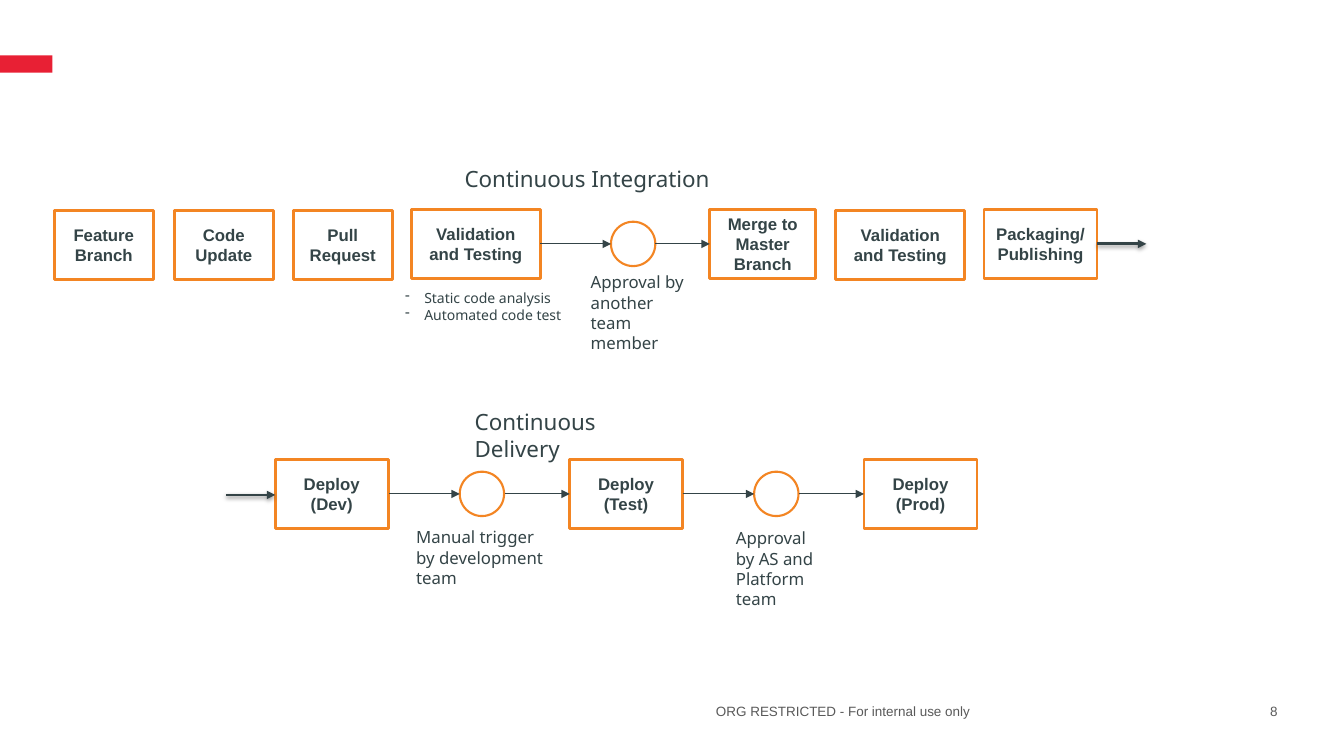
"""Build the continuous integration and delivery flow slide."""
from typing import NamedTuple

from lxml import etree
from pptx import Presentation
from pptx.dml.color import RGBColor
from pptx.enum import shapes, text
from pptx.oxml import ns
from pptx.util import Inches, Pt

RED = RGBColor(0xE8, 0x20, 0x34)
ORANGE = RGBColor(0xF3, 0x85, 0x23)
SLATE = RGBColor(0x34, 0x44, 0x47)
GREY = RGBColor(0x59, 0x59, 0x59)
WHITE = RGBColor(0xFF, 0xFF, 0xFF)

SHAPE = shapes.MSO_SHAPE
ALIGN = text.PP_ALIGN
ANCHOR = text.MSO_ANCHOR
GATE_SIZE = 0.44
STEP_HEIGHT = 0.68


class Step(NamedTuple):
    """A named stage of the pipeline."""
    left: float
    top: float
    width: float
    label: str


class Gate(NamedTuple):
    """A circle where someone approves or triggers the next stage."""
    left: float
    top: float


class Arrow(NamedTuple):
    """A horizontal arrow; a handover is thick and shadowed."""
    start: float
    end: float
    y: float
    handover: bool = False


class Note(NamedTuple):
    """Free text beside the flow."""
    left: float
    top: float
    width: float
    height: float
    words: str
    size: float = 12
    bullet: str = ""


STEPS = [
    Step(0.54, 2.09, 0.98, "Feature Branch"),
    Step(1.73, 2.09, 0.98, "Code Update"),
    Step(2.91, 2.09, 0.98, "Pull Request"),
    Step(4.08, 2.08, 1.28, "Validation and Testing"),
    Step(7.04, 2.08, 1.05, "Merge to Master Branch"),
    Step(8.29, 2.09, 1.28, "Validation and Testing"),
    Step(9.76, 2.08, 1.12, "Packaging/\nPublishing"),
] + [Step(2.73 + 2.92 * i, 4.56, 1.12, f"Deploy\n({stage})")
     for i, stage in enumerate(["Dev", "Test", "Prod"])]

GATES = [Gate(6.06, 2.2), Gate(4.56, 4.68), Gate(7.48, 4.68)]

ARROWS = [
    Arrow(5.36, 6.06, 2.42),
    Arrow(6.5, 7.04, 2.42),
    Arrow(10.88, 11.37, 2.42, handover=True),
    Arrow(2.24, 2.73, 4.91, handover=True),
    Arrow(3.86, 4.56, 4.9),
    Arrow(5.01, 5.65, 4.9),
    Arrow(6.77, 7.48, 4.9),
    Arrow(7.92, 8.57, 4.9),
]

NOTES = [
    Note(4.51, 1.59, 2.73, 0.37, "Continuous Integration", 16),
    Note(4.61, 4, 2.23, 0.37, "Continuous Delivery", 16),
    Note(5.76, 2.65, 1.25, 0.71, "Approval by another team member"),
    Note(4.03, 5.18, 1.5, 0.71, "Manual trigger by development team"),
    Note(7.2, 5.19, 1.28, 0.71, "Approval\nby AS and Platform team"),
    Note(3.92, 2.82, 1.83, 0.44,
         "Static code analysis\nAutomated code test", 10, "-"),
]


def write(frame, words: str, *, size: float = 12, font: str = "Arial",
          color: RGBColor = SLATE, bold: bool = False, align=ALIGN.LEFT,
          anchor=ANCHOR.TOP, margin: float | None = None,
          bullet: str = "") -> None:
    """Fill a text frame with one paragraph per line of words."""
    frame.word_wrap = True
    frame.vertical_anchor = anchor
    if margin is not None:
        frame.margin_left = frame.margin_right = Inches(margin)
        frame.margin_top = frame.margin_bottom = Inches(margin)
    for i, line in enumerate(words.split("\n")):
        paragraph = frame.add_paragraph() if i else frame.paragraphs[0]
        paragraph.alignment = align
        run = paragraph.add_run()
        run.text = line
        run.font.size, run.font.name = Pt(size), font
        run.font.bold, run.font.color.rgb = bold, color
        if bullet:
            properties = paragraph._p.get_or_add_pPr()
            properties.set("marL", str(Inches(0.19)))
            properties.set("indent", str(-Inches(0.19)))
            etree.SubElement(properties, ns.qn("a:buChar"), char=bullet)


def draw_shape(slide, kind, left: float, top: float, width: float,
               height: float, *, fill: RGBColor | None = None,
               line: RGBColor | None = None, weight: float = 2):
    """Add a flat preset shape."""
    shape = slide.shapes.add_shape(
        kind, Inches(left), Inches(top), Inches(width), Inches(height))
    shape.shadow.inherit = False
    if fill is None:
        shape.fill.background()
    else:
        shape.fill.solid()
        shape.fill.fore_color.rgb = fill
    if line is None:
        shape.line.fill.background()
    else:
        shape.line.color.rgb = line
        shape.line.width = Pt(weight)
    return shape


def draw_text(slide, left: float, top: float, width: float, height: float,
              words: str, **style):
    """Add a text box and return its frame."""
    frame = slide.shapes.add_textbox(
        Inches(left), Inches(top), Inches(width), Inches(height)).text_frame
    write(frame, words, **style)
    return frame


def draw_step(slide, step: Step) -> None:
    """Draw a stage box with its label."""
    box = draw_shape(slide, SHAPE.RECTANGLE, step.left, step.top, step.width,
                     STEP_HEIGHT, fill=WHITE, line=ORANGE)
    write(box.text_frame, step.label, bold=True, align=ALIGN.CENTER,
          anchor=ANCHOR.MIDDLE)


def draw_arrow(slide, arrow: Arrow) -> None:
    """Draw an arrow with a triangular head."""
    connector = slide.shapes.add_connector(
        shapes.MSO_CONNECTOR.STRAIGHT, Inches(arrow.start), Inches(arrow.y),
        Inches(arrow.end), Inches(arrow.y))
    connector.line.color.rgb = SLATE
    connector.line.width = Pt(2 if arrow.handover else 0.75)
    etree.SubElement(connector.line._get_or_add_ln(), ns.qn("a:tailEnd"),
                     type="triangle")
    effects = etree.SubElement(connector._element.spPr, ns.qn("a:effectLst"))
    if arrow.handover:
        shadow = etree.SubElement(
            effects, ns.qn("a:outerShdw"), blurRad=str(Pt(3.1)),
            dist=str(Pt(1.6)), dir="5400000", rotWithShape="0")
        black = etree.SubElement(shadow, ns.qn("a:srgbClr"), val="000000")
        etree.SubElement(black, ns.qn("a:alpha"), val="38000")


def draw_note(slide, note: Note) -> None:
    """Draw a heading or annotation that grows with its text."""
    frame = draw_text(slide, note.left, note.top, note.width, note.height,
                      note.words, size=note.size, font="Noto Sans",
                      bullet=note.bullet)
    frame.auto_size = text.MSO_AUTO_SIZE.SHAPE_TO_FIT_TEXT


def main() -> None:
    """Assemble and save the slide."""
    deck = Presentation()
    deck.slide_width, deck.slide_height = Inches(13.33), Inches(7.5)
    slide = deck.slides.add_slide(deck.slide_layouts[6])

    draw_shape(slide, SHAPE.RECTANGLE, 0, 0.55, 0.52, 0.17, fill=RED)
    for left, width, words in [
            (3.43, 6.19, "ORG RESTRICTED - For internal use only"),
            (12.34, 0.33, "8")]:
        draw_text(slide, left, 6.98, width, 0.15, words, size=9.6, color=GREY,
                  align=ALIGN.RIGHT, anchor=ANCHOR.MIDDLE, margin=0)
    for step in STEPS:
        draw_step(slide, step)
    for gate in GATES:
        draw_shape(slide, SHAPE.OVAL, gate.left, gate.top, GATE_SIZE,
                   GATE_SIZE, line=ORANGE, weight=1.5)
    for arrow in ARROWS:
        draw_arrow(slide, arrow)
    for note in NOTES:
        draw_note(slide, note)
    deck.save("out.pptx")


main()
